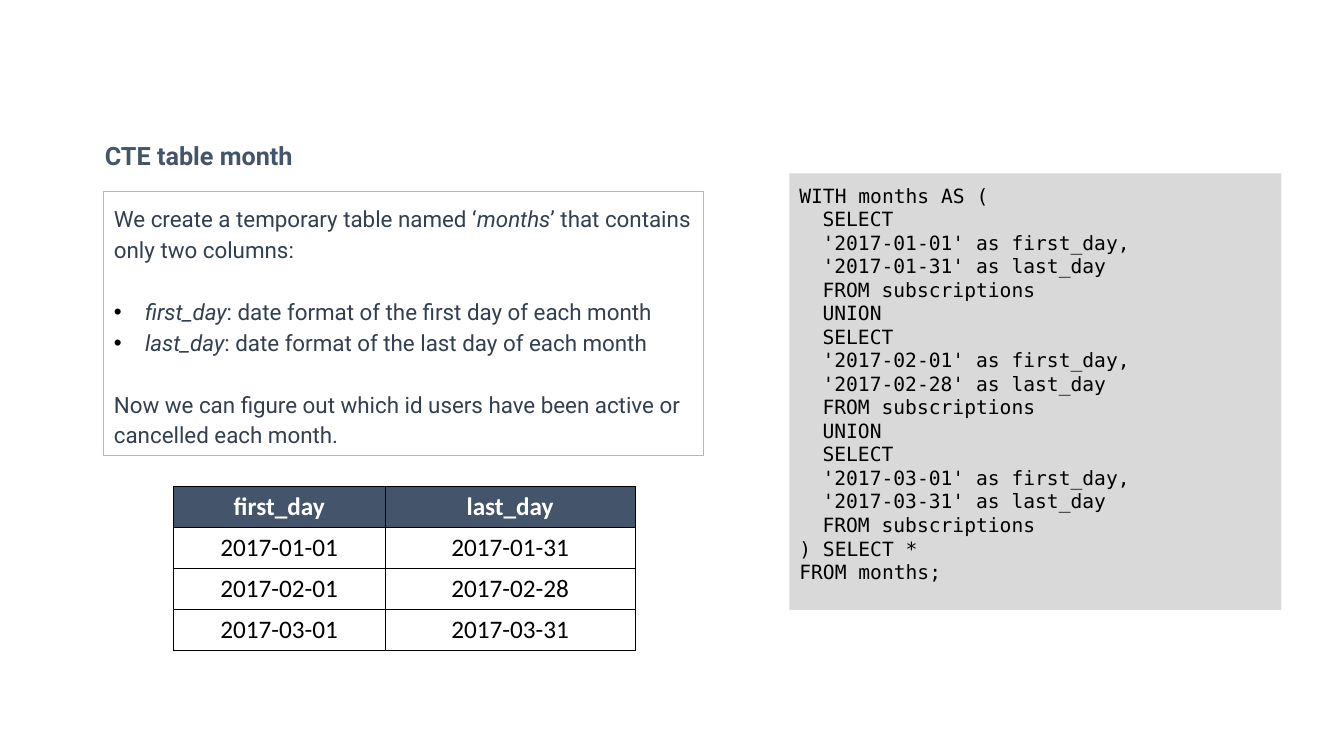
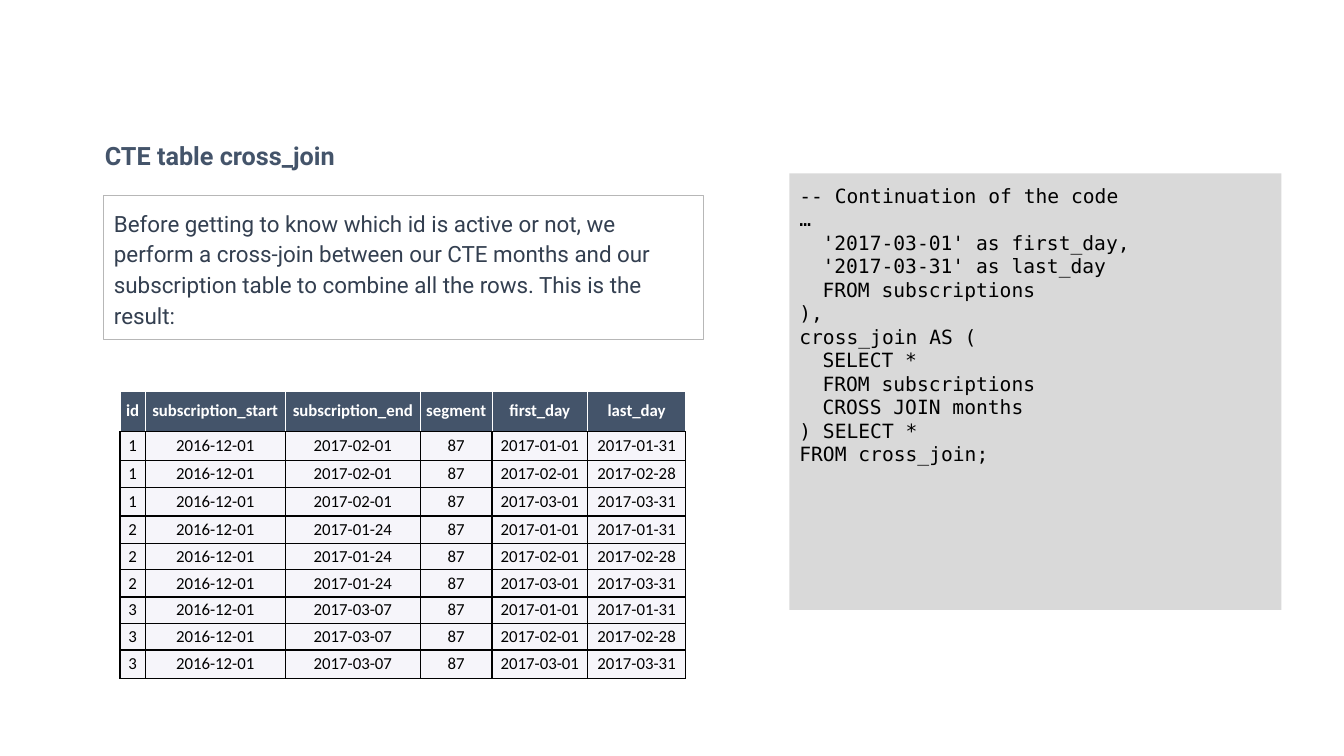
"""Build two slides that explain the CTE tables of a subscription query."""
from dataclasses import dataclass
from itertools import product

from lxml.etree import SubElement
from pptx import Presentation
from pptx.dml.color import RGBColor
from pptx.enum.shapes import MSO_SHAPE
from pptx.enum.text import MSO_ANCHOR, MSO_AUTO_SIZE, PP_ALIGN
from pptx.oxml.ns import qn
from pptx.util import Inches, Pt


@dataclass(frozen=True)
class Theme:
    navy: str = "44546A"
    ink: str = "333F50"
    black: str = "000000"
    white: str = "FFFFFF"
    frame: str = "B7B7B7"
    panel: str = "D9D9D9"
    tint: str = "F6F5FA"
    text_font: str = "Roboto"
    code_font: str = "DejaVu Sans Mono"
    table_font: str = "Calibri"
    title_size: int = 18
    body_size: int = 16
    code_size: int = 14
    line_gap: int = 22


T = Theme()


def style(p, font, size, color, bold=False):
    for r in p.runs:
        r.font.name, r.font.size, r.font.bold = font, Pt(size), bold
        r.font.color.rgb = RGBColor.from_string(color)


def add_border(tcPr, side, color, width):
    ln = SubElement(tcPr, qn(f"a:ln{side}"), w=str(Pt(width)))
    SubElement(SubElement(ln, qn("a:solidFill")), qn("a:srgbClr"), val=color)


months = [("2017-01-01", "2017-01-31"), ("2017-02-01", "2017-02-28"), ("2017-03-01", "2017-03-31")]
subscriptions = [
    ("1", "2016-12-01", "2017-02-01", "87"),
    ("2", "2016-12-01", "2017-01-24", "87"),
    ("3", "2016-12-01", "2017-03-07", "87"),
]

month_code = "\n  UNION\n".join(
    f"  SELECT\n  '{first}' as first_day,\n  '{last}' as last_day\n  FROM subscriptions"
    for first, last in months
)

slides = [
    {
        "title": "CTE table month",
        "box": (1.9, 2.62),
        "body": [
            (False, 0, "We create a temporary table named ‘*months*’ that contains only two columns:"),
            (True, T.line_gap, "*first_day*: date format of the first day of each month"),
            (True, 0, "*last_day*: date format of the last day of each month"),
            (False, T.line_gap, "Now we can figure out which id users have been active or cancelled each month."),
        ],
        "code": f"WITH months AS (\n{month_code}\n) SELECT *\nFROM months;",
        "rows": [("first_day", "last_day"), *months],
        "at": (1.72, 4.83),
        "cols": [2.1, 2.48],
        "heights": [0.4] * 4,
        "size": 18,
        "margins": (0.1, 0.05),
        "fill": None,
        "head_border": (T.black, 1),
    },
    {
        "title": "CTE table cross_join",
        "box": (1.94, 1.43),
        "body": [
            (False, 0, "Before getting to know which id is active or not, we perform a cross-join between "
                       "our CTE months and our subscription table to combine all the rows. This is the result:"),
        ],
        "code": """-- Continuation of the code
…
  '2017-03-01' as first_day,
  '2017-03-31' as last_day
  FROM subscriptions
),
cross_join AS (
  SELECT *
  FROM subscriptions
  CROSS JOIN months
) SELECT *
FROM cross_join;""",
        "rows": [("id", "subscription_start", "subscription_end", "segment", "first_day", "last_day"),
                 *(sub + month for sub, month in product(subscriptions, months))],
        "at": (1.19, 3.88),
        "cols": [0.25, 1.39, 1.34, 0.71, 0.95, 0.97],
        "heights": [0.4, 0.29, 0.27, 0.28, 0.27, 0.26, 0.27, 0.26, 0.26, 0.28],
        "size": 12,
        "margins": (0.05, 0.03),
        "fill": T.tint,
        "head_border": (T.white, 0.75),
    },
]

prs = Presentation()
prs.slide_width, prs.slide_height = Inches(13.33), Inches(7.5)

for data in slides:
    s = prs.slides.add_slide(prs.slide_layouts[1])
    title, body = s.placeholders

    title.left, title.top, title.width, title.height = map(Inches, (0.94, 1.34, 3.82, 0.4))
    tf = title.text_frame
    tf.text = data["title"]
    tf.vertical_anchor, tf.auto_size = MSO_ANCHOR.TOP, MSO_AUTO_SIZE.NONE
    tf.paragraphs[0].alignment = PP_ALIGN.LEFT
    style(tf.paragraphs[0], T.text_font, T.title_size, T.navy, bold=True)

    top, height = data["box"]
    body.left, body.top, body.width, body.height = map(Inches, (1.03, top, 5.95, height))
    body.line.color.rgb = RGBColor.from_string(T.frame)
    body.line.width = Pt(0.75)

    code = s.shapes.add_shape(MSO_SHAPE.RECTANGLE, *map(Inches, (7.83, 1.72, 4.88, 4.33)))
    code.shadow.inherit = False
    code.fill.solid()
    code.fill.fore_color.rgb = RGBColor.from_string(T.panel)
    code.line.fill.background()

    for sp in (body, code):
        tf = sp.text_frame
        tf.word_wrap, tf.auto_size, tf.vertical_anchor = True, MSO_AUTO_SIZE.NONE, MSO_ANCHOR.TOP
        tf.margin_left = tf.margin_right = tf.margin_top = tf.margin_bottom = Inches(0.1)

    tf = body.text_frame
    tf.text = "\n".join(text for _, _, text in data["body"])
    for p, (bulleted, gap, text) in zip(tf.paragraphs, data["body"]):
        p.clear()
        for i, part in enumerate(text.split("*")):
            if part:
                r = p.add_run()
                r.text, r.font.italic = part, i % 2 == 1
        style(p, T.text_font, T.body_size, T.ink)
        p.line_spacing, p.space_before = 1.15, Pt(gap)
        pPr = p._p.get_or_add_pPr()
        indent = Inches(0.31) if bulleted else 0
        pPr.set("marL", str(indent))
        pPr.set("indent", str(-indent))
        if bulleted:
            SubElement(SubElement(pPr, qn("a:buClr")), qn("a:srgbClr"), val=T.black)
            SubElement(pPr, qn("a:buChar"), char="•")
        else:
            SubElement(pPr, qn("a:buNone"))

    lines = data["code"].split("\n")
    tf = code.text_frame
    tf.text = "\n".join(line.strip() for line in lines)
    for p, line in zip(tf.paragraphs, lines):
        p.alignment = PP_ALIGN.LEFT
        style(p, T.code_font, T.code_size, T.black)
        if line.startswith("  "):
            p._p.get_or_add_pPr().set("marL", str(Inches(0.23)))

    rows, cols, heights = data["rows"], data["cols"], data["heights"]
    size = map(Inches, (*data["at"], sum(cols), sum(heights)))
    table = s.shapes.add_table(len(rows), len(cols), *size).table
    table.horz_banding = False
    for col, width in zip(table.columns, cols):
        col.width = Inches(width)
    for i, (row, height) in enumerate(zip(table.rows, heights)):
        row.height = Inches(height)
        head = i == 0
        fill = T.navy if head else data["fill"]
        for cell, text in zip(row.cells, rows[i]):
            cell.text = text
            cell.vertical_anchor = MSO_ANCHOR.MIDDLE
            cell.margin_left = cell.margin_right = Inches(data["margins"][0])
            cell.margin_top = cell.margin_bottom = Inches(data["margins"][1])
            p = cell.text_frame.paragraphs[0]
            p.alignment = PP_ALIGN.CENTER
            style(p, T.table_font, data["size"], T.white if head else T.black, bold=head)
            for side in "LRTB":
                border = data["head_border"] if head and side != "B" else (T.black, 1)
                add_border(cell._tc.get_or_add_tcPr(), side, *border)
            if fill:
                cell.fill.solid()
                cell.fill.fore_color.rgb = RGBColor.from_string(fill)
            else:
                cell.fill.background()

prs.save("out.pptx")
